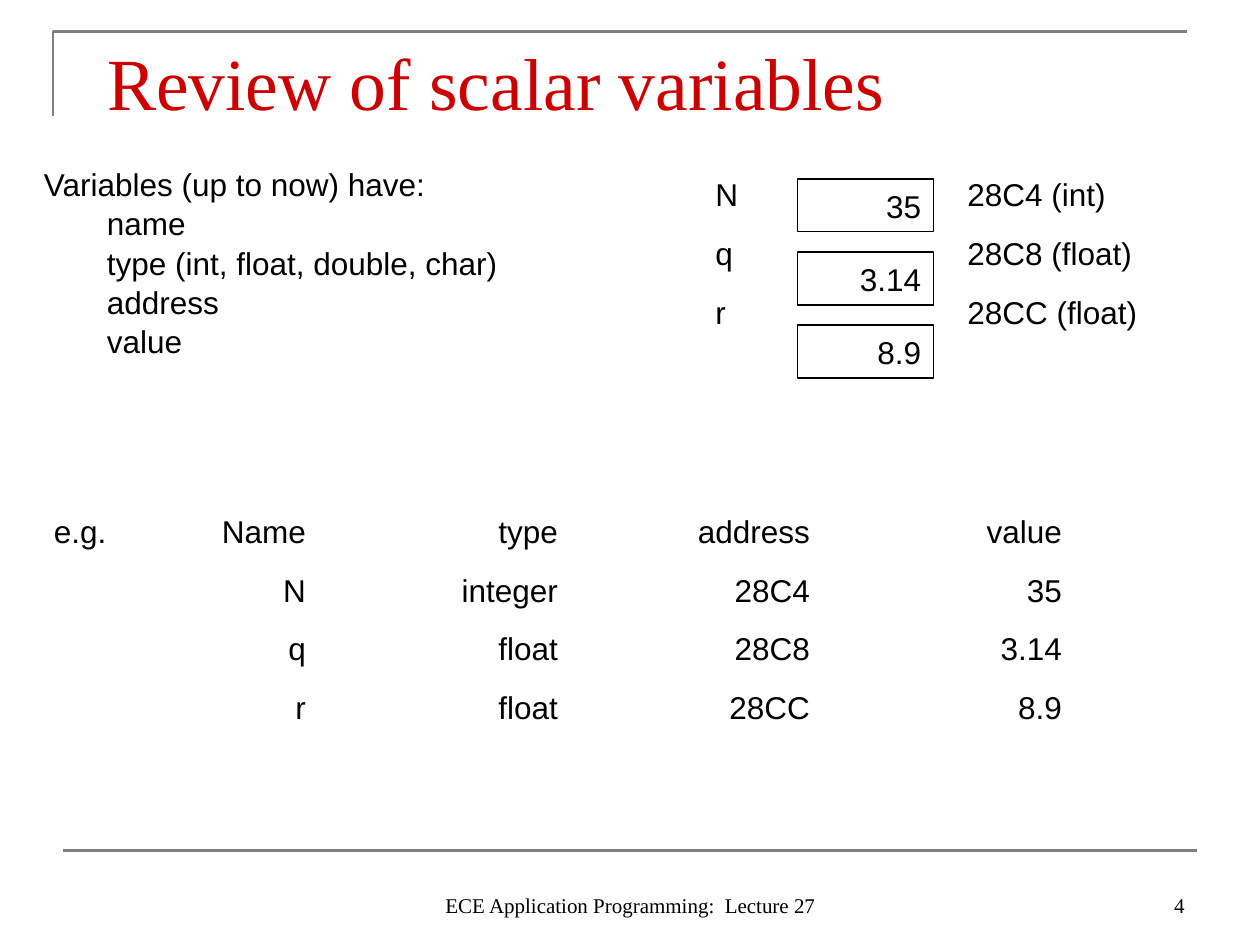
from lxml.etree import SubElement
from pptx import Presentation
from pptx.dml.color import RGBColor
from pptx.enum.shapes import MSO_CONNECTOR, MSO_SHAPE
from pptx.enum.text import MSO_ANCHOR, MSO_AUTO_SIZE, PP_ALIGN
from pptx.oxml.ns import qn
from pptx.util import Inches, Pt

# Content
TITLE = "Review of scalar variables"
FOOTER = "ECE Application Programming:  Lecture 27"
PAGE = "4"
PROPERTIES = ["Variables (up to now) have:", "name",
              "type (int, float, double, char)", "address", "value"]
HEADINGS = ["e.g.", "Name", "type", "address", "value"]
VARIABLES = [("N", "integer", "28C4", "35"),
             ("q", "float", "28C8", "3.14"),
             ("r", "float", "28CC", "8.9")]
SHORT_TYPES = {"integer": "int", "float": "float"}

# Formats
BODY = {"name": "Arial", "size": Pt(18)}
SMALL = {"name": "Times New Roman", "size": Pt(12)}
HEAD = {"name": "Times New Roman", "size": Pt(42)}
BLACK, RED, GREY = "000000", "CC0000", "808080"


def color(value):
    return RGBColor.from_string(value)


def write(tf, lines, font=BODY, ink=BLACK, align=PP_ALIGN.LEFT, tabs=(),
          spacing=None):
    """Fill a text frame, one paragraph a line; tabs are (inches, side)."""
    for i, line in enumerate(lines):
        p = tf.paragraphs[0] if i == 0 else tf.add_paragraph()
        p.text = line
        if tabs:
            tab_list = SubElement(p._p.get_or_add_pPr(), qn("a:tabLst"))
            for pos, side in tabs:
                SubElement(tab_list, qn("a:tab"), pos=str(Inches(pos)), algn=side)
        p.alignment = align
        if spacing:
            p.line_spacing = spacing
        if i:
            p.space_before = Pt(11.2)
        for r in p.runs:
            for key, value in font.items():
                setattr(r.font, key, value)
            r.font.color.rgb = color(ink)


def add_text(s, box, lines, anchor=MSO_ANCHOR.TOP, **style):
    tf = s.shapes.add_textbox(*map(Inches, box)).text_frame
    tf.word_wrap = True
    tf.vertical_anchor = anchor
    write(tf, lines, **style)


def set_line(sp, ink, width):
    sp.line.color.rgb = color(ink)
    sp.line.width = Pt(width)


prs = Presentation()
prs.slide_width, prs.slide_height = Inches(10), Inches(7.5)
s = prs.slides.add_slide(prs.slide_layouts[5])

# Frame rules
builder = s.shapes.build_freeform(Inches(0.42), Inches(0.92))
builder.add_line_segments([(Inches(0.42), Inches(0.25)),
                           (Inches(9.42), Inches(0.25))], close=False)
corner = builder.convert_to_shape()
corner.shadow.inherit = False
corner.fill.background()
set_line(corner, GREY, 1.5)

rule = s.shapes.add_connector(MSO_CONNECTOR.STRAIGHT, Inches(0.5), Inches(6.75),
                              Inches(9.5), Inches(6.75))
set_line(rule, GREY, 1.5)
SubElement(rule._element.spPr, qn("a:effectLst"))

# Title
title = s.shapes.title
title.left, title.top, title.width, title.height = map(
    Inches, (0.75, 0.17, 8.5, 0.58))
tf = title.text_frame
tf.auto_size = MSO_AUTO_SIZE.NONE
tf.vertical_anchor = MSO_ANCHOR.TOP
tf.margin_top = Inches(0.12)
write(tf, [TITLE], font=HEAD, ink=RED)

# What a variable has: one paragraph with line breaks
add_text(s, (0.25, 1.25, 4.92, 1.6), ["\v\t".join(PROPERTIES)],
         tabs=[(0.5, "l")], spacing=1.04)

# Memory: names and addresses around the value boxes
memory = [f"{name}\t\t{address} ({SHORT_TYPES[kind]})"
          for name, kind, address, _ in VARIABLES]
add_text(s, (5.58, 1.33, 4.17, 1.32), memory,
         tabs=[(1, "l"), (2, "l")], spacing=1.04)

BOX_TOP, BOX_STEP = 1.42, 0.58
for i, (*_, value) in enumerate(VARIABLES):
    sp = s.shapes.add_shape(MSO_SHAPE.RECTANGLE, Inches(6.33),
                            Inches(BOX_TOP + i * BOX_STEP),
                            Inches(1.08), Inches(0.42))
    sp.shadow.inherit = False
    sp.fill.background()
    set_line(sp, BLACK, 0.75)
    sp.text_frame.word_wrap = False
    sp.text_frame.vertical_anchor = MSO_ANCHOR.MIDDLE
    write(sp.text_frame, [value], align=PP_ALIGN.RIGHT)

# Example rows, aligned on right tabs
rows = ["\t".join(HEADINGS)] + ["\t" + "\t".join(v) for v in VARIABLES]
add_text(s, (0.33, 4, 9.17, 1.77), rows,
         tabs=[(pos, "r") for pos in (2, 4, 6, 8)], spacing=1.04)

# Page number and footer
for box, text, align in [((7.17, 6.83, 2.33, 0.5), PAGE, PP_ALIGN.RIGHT),
                         ((3.42, 6.83, 3.17, 0.5), FOOTER, PP_ALIGN.CENTER)]:
    add_text(s, box, [text], anchor=MSO_ANCHOR.BOTTOM, font=SMALL, align=align)

prs.save("out.pptx")
